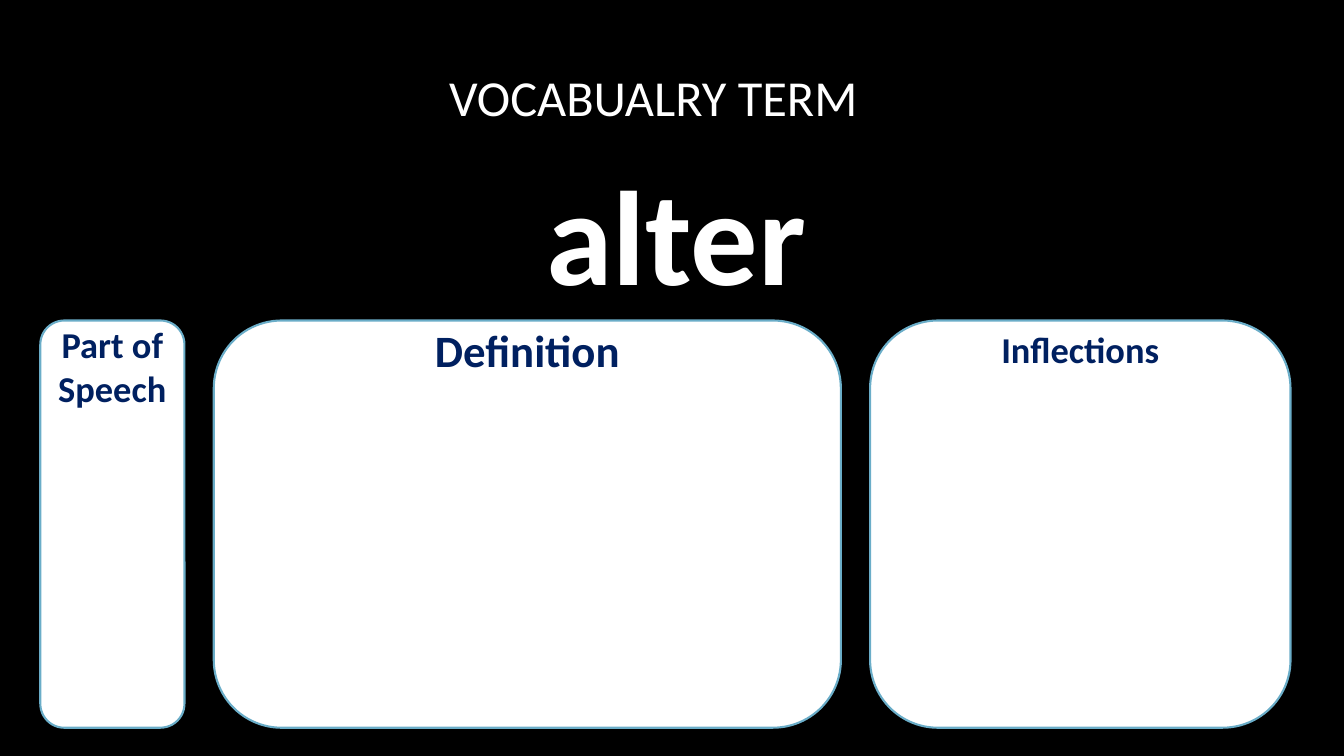
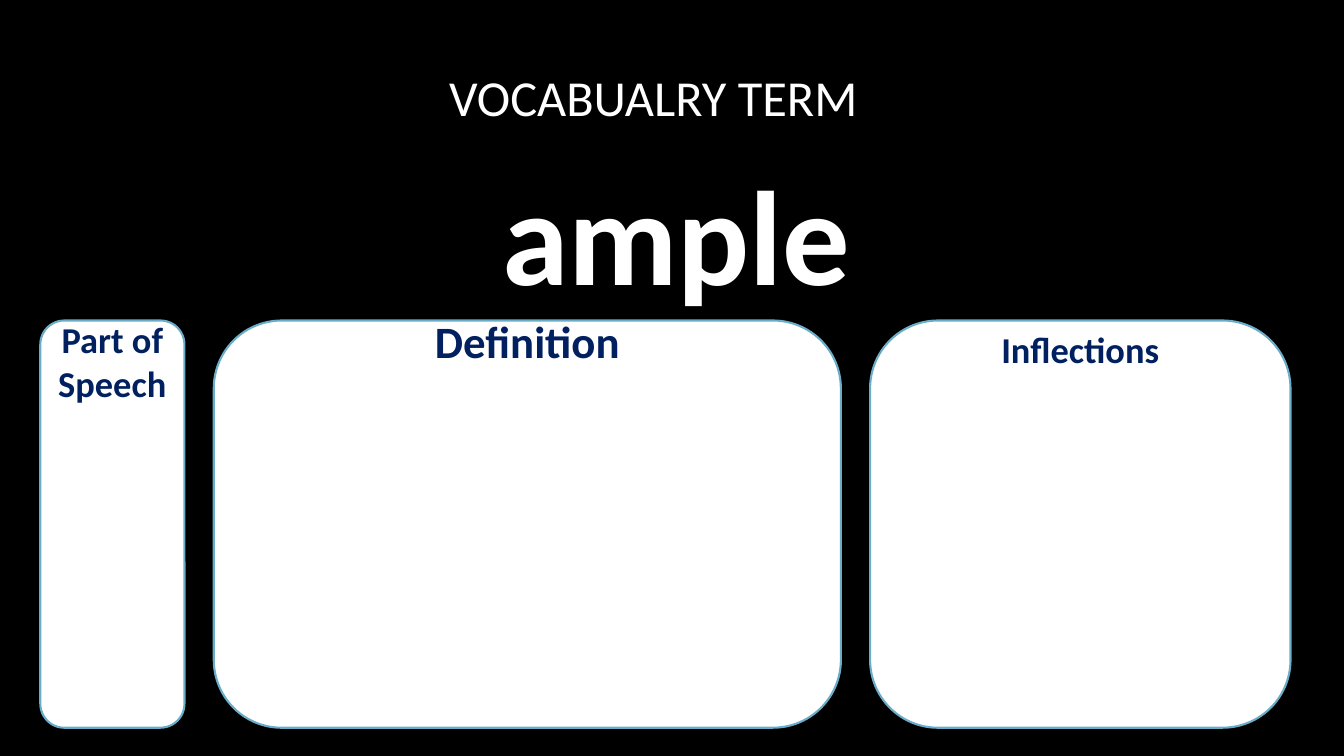
from pptx import Presentation
from pptx.dml.color import RGBColor
from pptx.enum import shapes, text
from pptx.util import Inches, Pt

COLORS = {"background": "000000", "white": "FFFFFF", "label": "002060", "border": "6AADC8"}
FONT = "Calibri"
CARD_TOP, CARD_HEIGHT = 3.18, 4.04
CARDS = [
    # label, left, width, font size
    ("Part of Speech", 0.4, 1.43, 26),
    ("Definition", 2.12, 6.22, 32),
    ("Inflections", 8.63, 4.17, 26),
]
TERMS = [
    # term, top of each card's label
    ("alter", (3.2, 3.2, 3.25)),
    ("ample", (3.15, 3.11, 3.25)),
]


def add_text(slide, content, left, top, width, height, *, size, color="white",
             bold=False, anchor=text.MSO_ANCHOR.MIDDLE):
    """Add a centred, wrapping text box without inner margins."""
    box = slide.shapes.add_textbox(Inches(left), Inches(top), Inches(width), Inches(height))
    frame = box.text_frame
    frame.word_wrap = True
    frame.vertical_anchor = anchor
    frame.margin_left = frame.margin_right = frame.margin_top = frame.margin_bottom = 0
    paragraph = frame.paragraphs[0]
    paragraph.alignment = text.PP_ALIGN.CENTER
    run = paragraph.add_run()
    run.text = content
    run.font.name = FONT
    run.font.size = Pt(size)
    run.font.bold = bold
    run.font.color.rgb = RGBColor.from_string(COLORS[color])


def add_card(slide, left, width):
    card = slide.shapes.add_shape(
        shapes.MSO_SHAPE.ROUNDED_RECTANGLE,
        Inches(left), Inches(CARD_TOP), Inches(width), Inches(CARD_HEIGHT))
    card.shadow.inherit = False
    card.fill.solid()
    card.fill.fore_color.rgb = RGBColor.from_string(COLORS["white"])
    card.line.color.rgb = RGBColor.from_string(COLORS["border"])
    card.line.width = Pt(1.5)


presentation = Presentation()
presentation.slide_width = Inches(13.33)
presentation.slide_height = Inches(7.5)
blank_layout = presentation.slide_layouts[6]

background = presentation.slide_master.background.fill
background.solid()
background.fore_color.rgb = RGBColor.from_string(COLORS["background"])

for term, label_tops in TERMS:
    slide = presentation.slides.add_slide(blank_layout)
    add_text(slide, "VOCABUALRY TERM", 0.94, 0.48, 11.08, 0.96, size=36)
    add_text(slide, term, 1.17, 1.42, 11.08, 1.76, size=96, bold=True)
    for (label, left, width, size), label_top in zip(CARDS, label_tops):
        add_card(slide, left, width)
        add_text(slide, label, left, label_top, width, 1, size=size, color="label",
                 bold=True, anchor=text.MSO_ANCHOR.TOP)

presentation.save("out.pptx")
